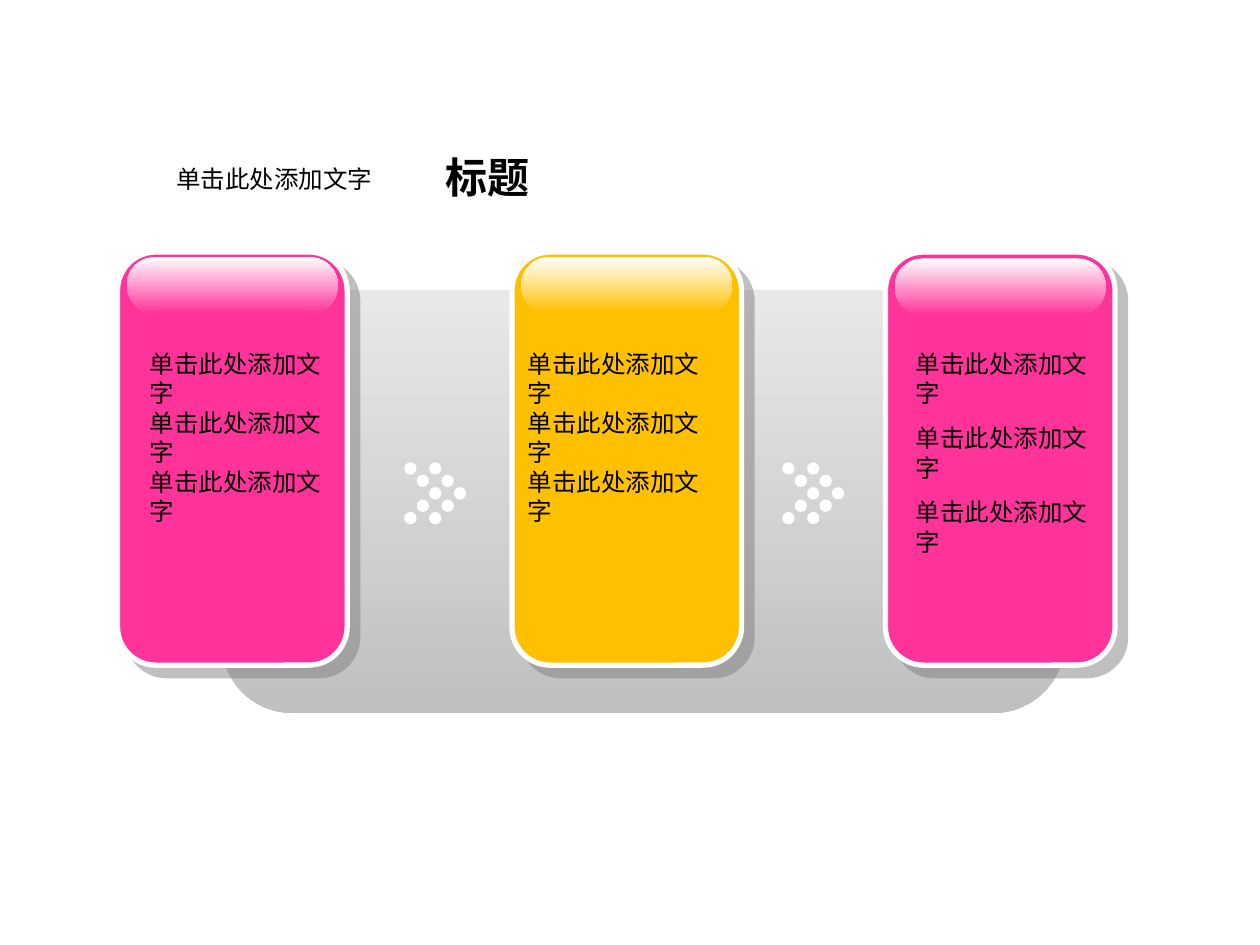
from dataclasses import dataclass

from lxml import etree
from pptx import Presentation
from pptx import util as u
from pptx.dml.color import RGBColor
from pptx.enum import shapes, text
from pptx.oxml.ns import qn

COLOURS = {
    "ink": "000000",
    "white": "FFFFFF",
    "pink": "FF3399",
    "amber": "FFC000",
    "panel_top": "E8E8E8",
    "panel_bottom": "C0C0C0",
    "shadow": "808080",
}
PROMPT = "单击此处添加文字"
ROUNDED = shapes.MSO_SHAPE.ROUNDED_RECTANGLE

CARD_TOP, CARD_WIDTH, CARD_HEIGHT = 5.08, 4.63, 8.33
GLOSS_INSET, GLOSS_HEIGHT = 0.19, 1.14
BODY_TOP, BODY_WIDTH = 6.91, 4.42
DOT = 0.25
CHEVRON_TOP = 9.32
CHEVRON_LEFTS = (8.15, 15.77)


@dataclass(frozen=True)
class Area:
    """Position and size in centimetres."""
    left: float
    top: float
    width: float
    height: float

    def lengths(self) -> list:
        return [u.Cm(n) for n in (self.left, self.top, self.width, self.height)]


@dataclass(frozen=True)
class Card:
    left: float
    colour: str
    gloss_top: float
    text_left: float
    text_height: float
    gap: float = 0


CARDS = (
    Card(2.37, "pink", 5.18, 2.77, 3.81),
    Card(10.32, "amber", 5.18, 10.39, 3.81),
    Card(17.85, "pink", 5.21, 18.21, 5.33, gap=8.8),
)


def rgb(name: str) -> RGBColor:
    return RGBColor.from_string(COLOURS[name])


def add_plain_shape(parent, kind, area: Area, *fills: str, corner: float | None = None):
    """Draw an unlined shape; two fills make a gradient from top to bottom."""
    shape = parent.add_shape(kind, *area.lengths())
    shape.shadow.inherit = False
    shape.line.fill.background()
    if corner is not None:
        shape.adjustments[0] = corner
    if len(fills) == 1:
        shape.fill.solid()
        shape.fill.fore_color.rgb = rgb(fills[0])
    else:
        shape.fill.gradient()
        shape.fill.gradient_angle = 270
        for stop, name in zip(shape.fill.gradient_stops, fills):
            stop.color.rgb = rgb(name)
    return shape


def add_shadow(shape) -> None:
    effects = shape._element.spPr.find(qn("a:effectLst"))
    shadow = etree.SubElement(effects, qn("a:outerShdw"), blurRad="0",
                              dist=str(u.Pt(8.5)), dir="2700000",
                              algn="tl", rotWithShape="0")
    colour = etree.SubElement(shadow, qn("a:srgbClr"), val=COLOURS["shadow"])
    etree.SubElement(colour, qn("a:alpha"), val="50000")


def add_text(page, area: Area, lines: list[str], size: float = 14, bold: bool = False,
             gap: float = 0, anchor=text.MSO_ANCHOR.TOP) -> None:
    frame = page.shapes.add_textbox(*area.lengths()).text_frame
    frame.word_wrap = True
    frame.vertical_anchor = anchor
    font_format = {"name": "Arial", "size": u.Pt(size), "bold": bold}
    for index, line in enumerate(lines):
        para = frame.add_paragraph() if index else frame.paragraphs[0]
        para.space_before = u.Pt(gap if index else 0)
        span = para.add_run()
        span.text = line
        for attribute, value in font_format.items():
            setattr(span.font, attribute, value)
        span.font.color.rgb = rgb("ink")


def add_card(page, card: Card) -> None:
    group = page.shapes.add_group_shape().shapes
    box = add_plain_shape(group, ROUNDED,
                          Area(card.left, CARD_TOP, CARD_WIDTH, CARD_HEIGHT),
                          card.colour, corner=0.167)
    box.line.color.rgb = rgb("white")
    box.line.width = u.Pt(3)
    add_shadow(box)
    gloss = Area(card.left + GLOSS_INSET, card.gloss_top,
                 CARD_WIDTH - 2 * GLOSS_INSET, GLOSS_HEIGHT)
    add_plain_shape(group, ROUNDED, gloss, "white", card.colour, corner=0.5)


def add_chevron(page, left: float) -> None:
    """Draw a double arrow of dots pointing right."""
    group = page.shapes.add_group_shape().shapes
    for start in (2, 0):
        for row in range(5):
            column = start + 2 - abs(row - 2)
            area = Area(left + column * DOT, CHEVRON_TOP + row * DOT, DOT, DOT)
            add_plain_shape(group, shapes.MSO_SHAPE.OVAL, area, "white")


def main() -> None:
    deck = Presentation()
    deck.slide_width, deck.slide_height = u.Cm(25.4), u.Cm(19.05)
    page = deck.slides.add_slide(deck.slide_layouts[6])

    add_text(page, Area(8.74, 2.77, 10.92, 1.57), ["标题"], size=24, bold=True,
             anchor=text.MSO_ANCHOR.MIDDLE)
    add_plain_shape(page.shapes, ROUNDED, Area(4.47, 5.84, 16.99, 8.53),
                    "panel_top", "panel_bottom", corner=0.167)
    for card in CARDS:
        add_card(page, card)
    for card in CARDS:
        area = Area(card.text_left, BODY_TOP, BODY_WIDTH, card.text_height)
        add_text(page, area, [PROMPT] * 3, gap=card.gap)
    for left in CHEVRON_LEFTS:
        add_chevron(page, left)
    add_text(page, Area(3.3, 3.18, 12.67, 0.86), [PROMPT])

    deck.save("out.pptx")


if __name__ == "__main__":
    main()
